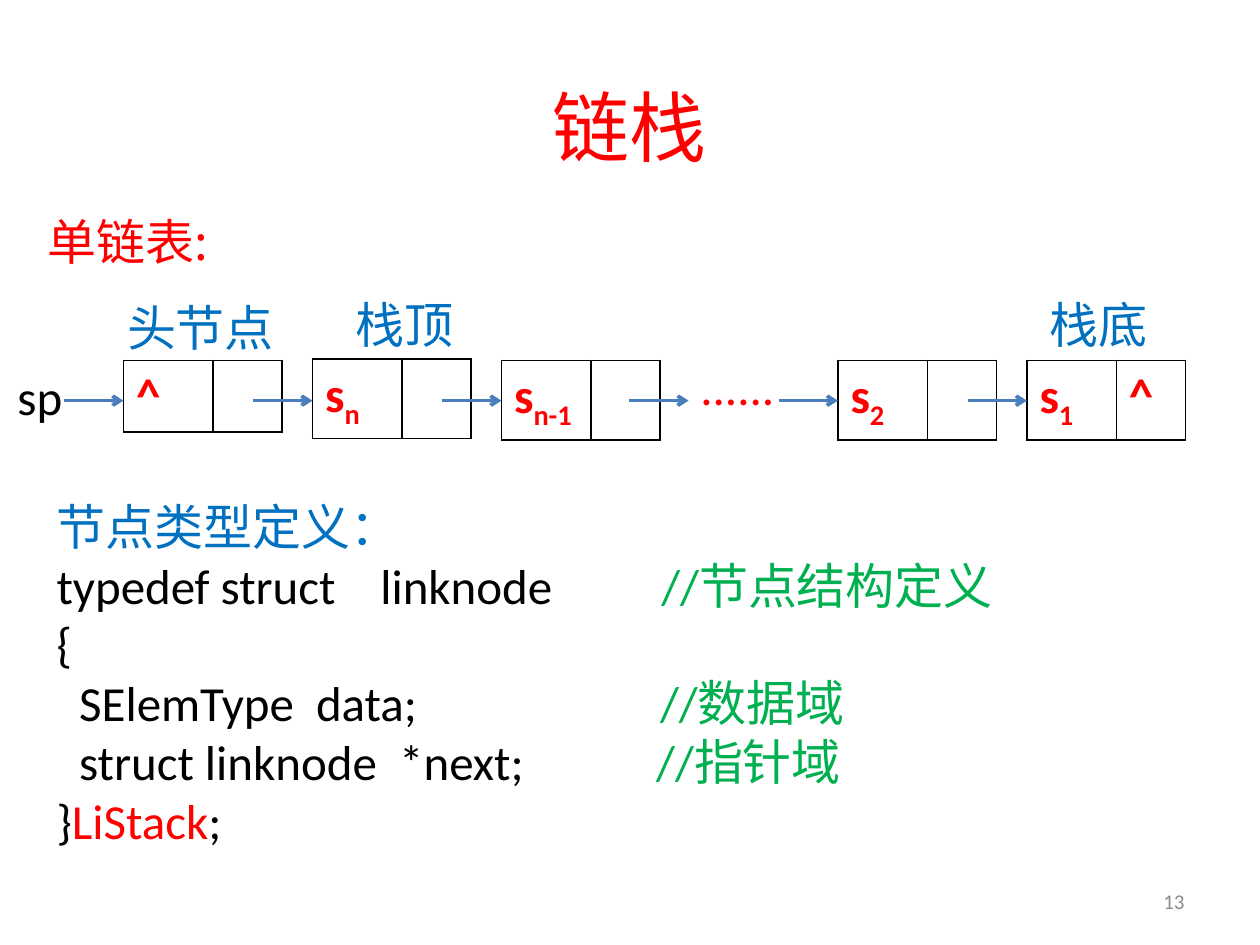
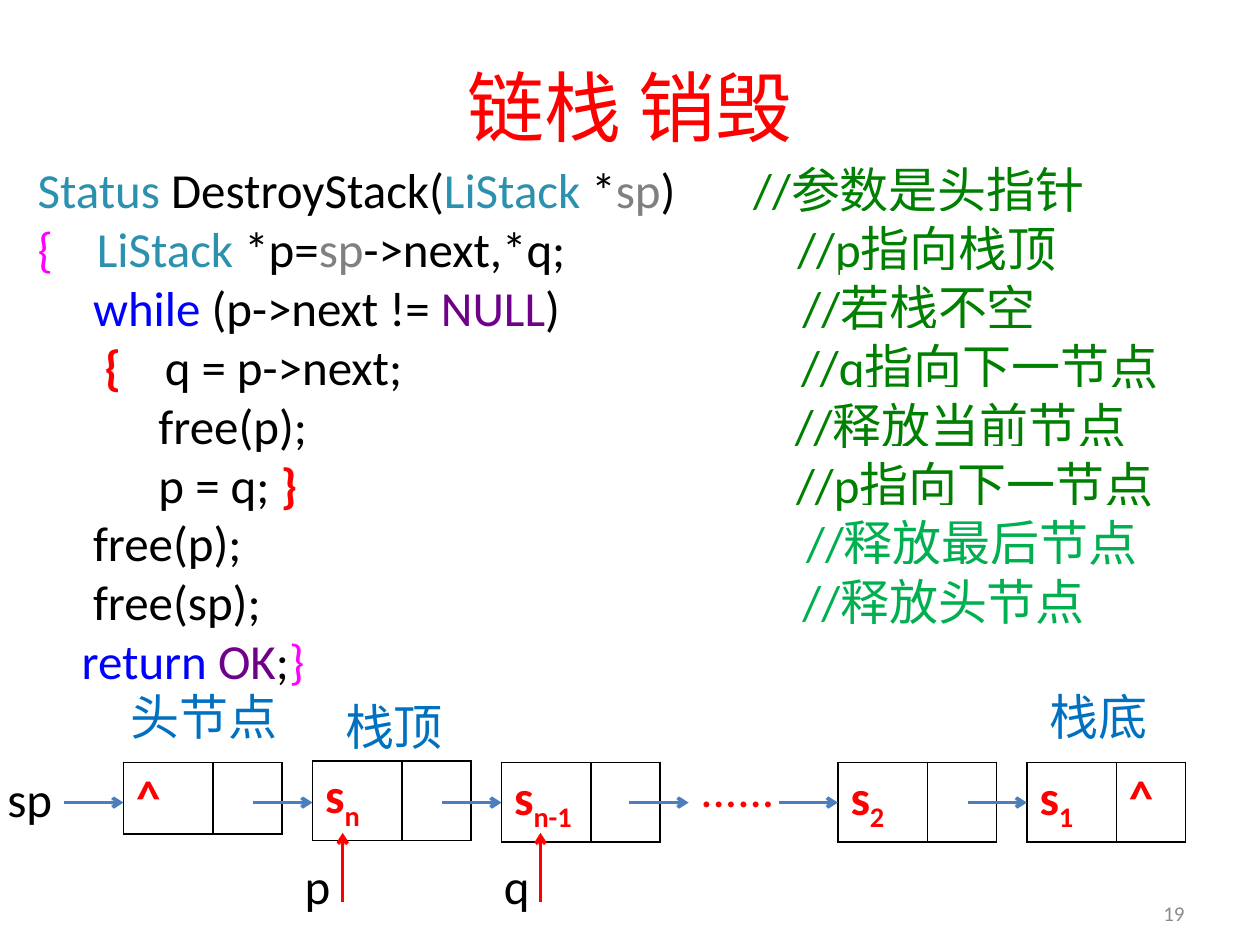
"""Build two slides on the linked stack: its node structure and its destruction."""
from dataclasses import dataclass

from lxml import etree
from pptx import Presentation
from pptx.dml.color import RGBColor
from pptx.enum import shapes, text
from pptx.oxml.ns import qn
from pptx.util import Inches, Pt


@dataclass(frozen=True)
class Theme:
    latin: str = "Calibri"
    cjk: str = "Noto Sans CJK SC"
    title_size: int = 44
    body_size: int = 28
    number_size: int = 12
    line_width: int = 2
    black: str = "000000"
    white: str = "FFFFFF"
    red: str = "FF0000"
    label: str = "0070C0"
    arrow: str = "4B7EBC"
    number: str = "8C8C8C"
    comment: str = "00B050"
    code_comment: str = "008000"
    type_name: str = "2B91AF"
    argument: str = "808080"
    keyword: str = "0000FF"
    constant: str = "6F008A"
    brace: str = "FF00FF"


THEME = Theme()
T = THEME

NODES = [
    (0, "^", "", ""),
    (1, "s", "n", ""),
    (2, "s", "n-1", ""),
    (3.78, "s", "2", ""),
    (4.78, "s", "1", "^"),
]
FIRST_NODE, NODE_PITCH, ARROW_LENGTH = 0.98, 1.5, 0.47
CELL_WIDTHS, ROW_HEIGHT = (0.71, 0.55), 0.41
DOTS_SLOT = 2.99

DEFINITION = [
    ((), [("节点类型定义：", T.label)]),
    ((2.57, 4.8), [("typedef struct\tlinknode\t", T.black), ("//节点结构定义", T.comment)]),
    ((), [("{", T.black)]),
    ((0.18, 2.06, 4.79), [("\tSElemType\tdata;\t", T.black), ("//数据域", T.comment)]),
    ((0.18, 2.72, 4.76), [("\tstruct linknode\t*next;\t", T.black), ("//指针域", T.comment)]),
    ((), [("}", T.black), ("LiStack", T.red), (";", T.black)]),
]

DESTROY = [
    ((5.68,), [("Status", T.type_name), (" DestroyStack(", T.black), ("LiStack", T.type_name),
               (" *", T.black), ("sp", T.argument), (")\t", T.black),
               ("//参数是头指针", T.code_comment)]),
    ((0.47, 6.03), [("{\t", T.brace), ("LiStack", T.type_name), (" *p=", T.black),
                    ("sp", T.argument), ("->next,*q;\t", T.black),
                    ("//p指向栈顶", T.code_comment)]),
    ((0.44, 6.07), [("\twhile", T.keyword), (" (p->next != ", T.black), ("NULL", T.constant),
                    (")\t", T.black), ("//若栈不空", T.code_comment)]),
    ((0.53, 1.01, 6.06), [("\t{\t", T.red, True), ("q = p->next;\t", T.black),
                          ("//q指向下一节点", T.code_comment)]),
    ((0.96, 6.01), [("\tfree(p);\t", T.black), ("//释放当前节点", T.code_comment)]),
    ((0.96, 6.02), [("\tp = q; ", T.black), ("}", T.red, True), ("\t", T.black),
                    ("//p指向下一节点", T.code_comment)]),
    ((0.44, 6.1), [("\tfree(p);\t", T.black), ("//释放最后节点", T.comment)]),
    ((0.44, 6.07), [("\tfree(sp);\t", T.black), ("//释放头节点", T.comment)]),
    ((0.35,), [("\treturn", T.keyword), (" ", T.black), ("OK", T.constant),
               (";", T.black), ("}", T.brace)]),
]

SLIDES = [
    {
        "title": "链栈", "title_top": 0.53, "number": "13", "number_top": 6.95,
        "heading": ("单链表:", 0.28, 1.4, 1.58, 0.7),
        "code": DEFINITION, "code_box": (0.35, 3.89, 8.98, 2.93), "highlight": None,
        "chain_top": 2.86, "sp_left": 0.04,
        "labels": [("头节点", 0.91, 2.31, 1.38), ("栈顶", 2.72, 2.29, 0.99),
                   ("栈底", 8.23, 2.29, 0.99)],
        "pointers": [],
    },
    {
        "title": "链栈 销毁", "title_top": 0.37, "number": "19", "number_top": 7.05,
        "heading": None,
        "code": DESTROY, "code_box": (0.2, 1.22, 9.37, 4.34), "highlight": T.white,
        "chain_top": 6.05, "sp_left": -0.04,
        "labels": [("头节点", 0.94, 5.4, 1.38), ("栈顶", 2.64, 5.48, 0.99),
                   ("栈底", 8.23, 5.4, 0.99)],
        "pointers": [("p", 2.32, 2.72), ("q", 3.9, 4.29)],
    },
]


def add_color(parent, color):
    fill = etree.SubElement(parent, qn("a:solidFill"))
    etree.SubElement(fill, qn("a:srgbClr"), val=color)


def write_runs(paragraph, runs, size=THEME.body_size, face=THEME.latin, highlight=None):
    for content, color, *bold in runs:
        run = paragraph.add_run()
        run.text = content
        run.font.bold = bool(bold)
        run.font.color.rgb = RGBColor.from_string(color)
    for part in (paragraph, *paragraph.runs):
        part.font.size = Pt(size)
        part.font.name = face
    for latin in list(paragraph._p.iter(qn("a:latin"))):
        east_asian = etree.Element(qn("a:ea"), typeface=THEME.cjk)
        latin.addnext(east_asian)
        if highlight:
            marker = etree.Element(qn("a:highlight"))
            etree.SubElement(marker, qn("a:srgbClr"), val=highlight)
            latin.addprevious(marker)


def add_box(slide, box, wrap=False, middle=False):
    frame = slide.shapes.add_textbox(*map(Inches, box)).text_frame
    frame.word_wrap = wrap
    if middle:
        frame.vertical_anchor = text.MSO_ANCHOR.MIDDLE
    else:
        frame.auto_size = text.MSO_AUTO_SIZE.SHAPE_TO_FIT_TEXT
    return frame


def add_label(slide, content, box, color, face=THEME.latin):
    paragraph = add_box(slide, box).paragraphs[0]
    write_runs(paragraph, [(content, color)], face=face)
    return paragraph


def add_framing(slide, page):
    title = add_box(slide, (0.5, page["title_top"], 9, 0.94), True, True).paragraphs[0]
    title.alignment = text.PP_ALIGN.CENTER
    write_runs(title, [(page["title"], THEME.red)], THEME.title_size, THEME.cjk)
    number = add_box(slide, (7.17, page["number_top"], 2.33, 0.4), True, True).paragraphs[0]
    number.alignment = text.PP_ALIGN.RIGHT
    write_runs(number, [(page["number"], THEME.number)], THEME.number_size)


def add_code(slide, lines, box, highlight):
    frame = add_box(slide, box, wrap=True)
    for index, (stops, runs) in enumerate(lines):
        paragraph = frame.add_paragraph() if index else frame.paragraphs[0]
        if stops:
            tabs = etree.SubElement(paragraph._p.get_or_add_pPr(), qn("a:tabLst"))
            for stop in stops:
                etree.SubElement(tabs, qn("a:tab"), pos=str(Inches(stop)), algn="l")
        write_runs(paragraph, runs, highlight=highlight)


def add_arrow(slide, start, end, color):
    connector = slide.shapes.add_connector(
        shapes.MSO_CONNECTOR.STRAIGHT, *map(Inches, (*start, *end)))
    connector.line.color.rgb = RGBColor.from_string(color)
    connector.line.width = Pt(THEME.line_width)
    etree.SubElement(connector.line._get_or_add_ln(), qn("a:tailEnd"), type="arrow")
    etree.SubElement(connector._element.spPr, qn("a:effectLst"))


def add_node(slide, left, top, value, subscript, link):
    table = slide.shapes.add_table(
        1, 2, *map(Inches, (left, top, sum(CELL_WIDTHS), ROW_HEIGHT))).table
    table.first_row = table.horz_banding = False
    for column, width in zip(table.columns, CELL_WIDTHS):
        column.width = Inches(width)
    for cell, parts in zip(table.rows[0].cells, ((value, subscript), (link,))):
        properties = cell._tc.get_or_add_tcPr()
        for side in ("lnL", "lnR", "lnT", "lnB"):
            border = etree.SubElement(properties, qn(f"a:{side}"), w=str(Pt(1)))
            add_color(border, THEME.black)
        cell.fill.background()
        runs = [(part, THEME.red, True) for part in parts if part]
        if runs:
            paragraph = cell.text_frame.paragraphs[0]
            write_runs(paragraph, runs)
            for run in paragraph.runs[1:]:
                run._r.get_or_add_rPr().set("baseline", "-25000")


def add_chain(slide, page):
    top = page["chain_top"]
    middle = top + 0.32
    for slot, value, subscript, link in NODES:
        raised = 0.01 if subscript == "n" else 0
        add_node(slide, FIRST_NODE + slot * NODE_PITCH, top - raised, value, subscript, link)
    for slot in [node[0] for node in NODES] + [DOTS_SLOT]:
        tip = FIRST_NODE + slot * NODE_PITCH
        add_arrow(slide, (tip - ARROW_LENGTH, middle), (tip, middle), THEME.arrow)
    add_label(slide, "......", (5.46, top - 0.08, 0.8, 0.57), THEME.red)
    add_label(slide, "sp", (page["sp_left"], top, 0.56, 0.57), THEME.black)
    for name, left, label_top, width in page["labels"]:
        add_label(slide, name, (left, label_top, width, 0.57), THEME.label, THEME.cjk)
    for name, left, arrow_left in page["pointers"]:
        add_label(slide, name, (left, top + 0.69, 0.41, 0.57), THEME.black)
        add_arrow(slide, (arrow_left, top + 1.11), (arrow_left, top + 0.56), THEME.red)


def main():
    presentation = Presentation()
    presentation.slide_width, presentation.slide_height = Inches(10), Inches(7.5)
    for page in SLIDES:
        slide = presentation.slides.add_slide(presentation.slide_layouts[6])
        add_framing(slide, page)
        if page["heading"]:
            content, *box = page["heading"]
            add_label(slide, content, box, THEME.red, THEME.cjk).line_spacing = 1.5
        add_code(slide, page["code"], page["code_box"], page["highlight"])
        add_chain(slide, page)
    presentation.save("out.pptx")


if __name__ == "__main__":
    main()
